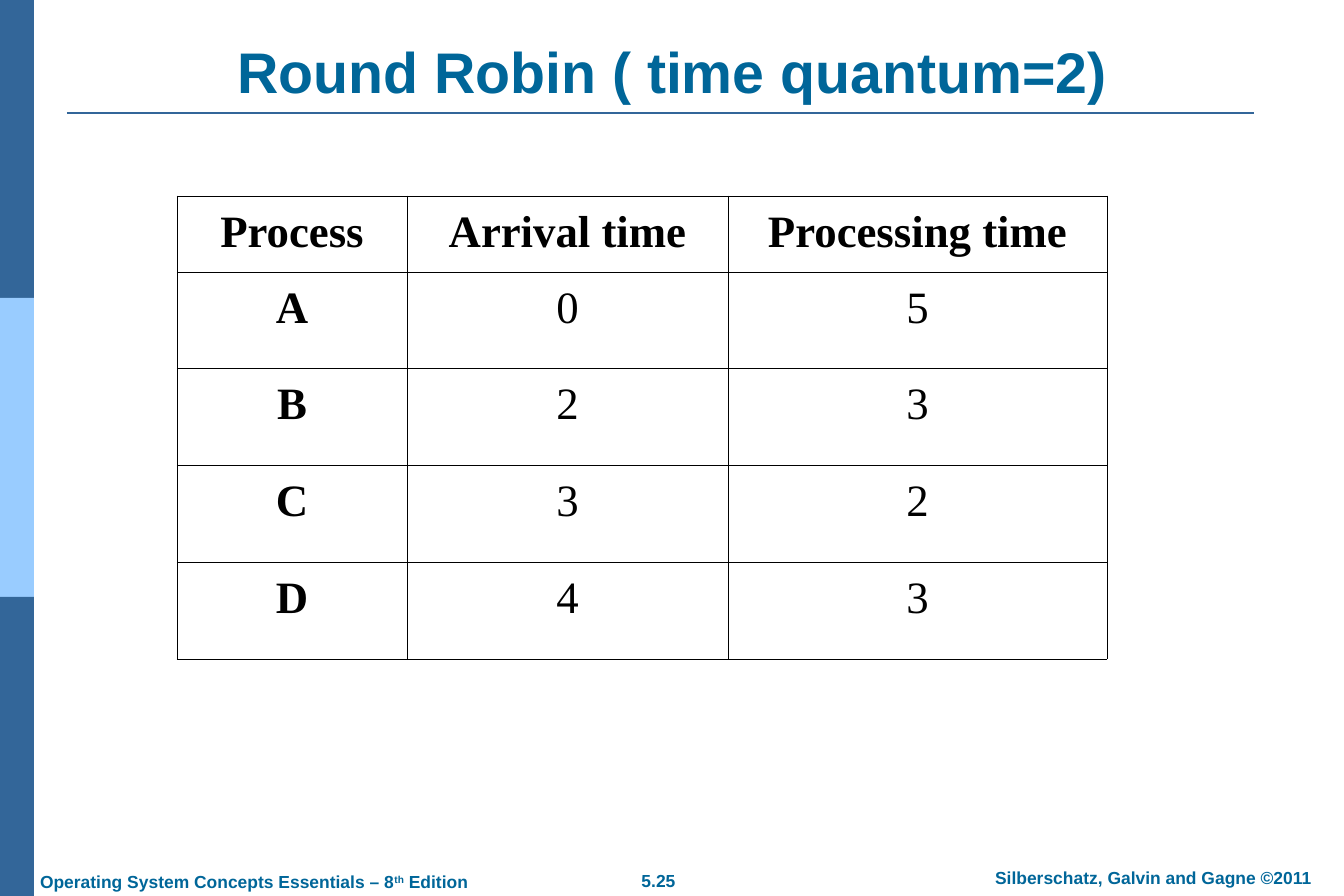
from dataclasses import dataclass

from lxml.etree import SubElement
from pptx import Presentation
from pptx.dml.color import RGBColor as RGB
from pptx.enum.shapes import MSO_CONNECTOR as Connector, MSO_SHAPE as Shape
from pptx.enum.text import MSO_ANCHOR as Anchor, MSO_AUTO_SIZE as AutoSize, PP_ALIGN as Align
from pptx.oxml.ns import qn
from pptx.util import Emu, Pt


@dataclass(frozen=True)
class Theme:
    """Colours, fonts and type sizes of the slide."""
    heading: RGB = RGB(0x00, 0x66, 0x99)
    dark_blue: RGB = RGB(0x33, 0x66, 0x99)
    light_blue: RGB = RGB(0x99, 0xCC, 0xFF)
    ink: RGB = RGB(0, 0, 0)
    sans: str = "Arial"
    serif: str = "Times New Roman"
    title_size: int = 46
    table_size: int = 36
    footer_size: int = 14


THEME = Theme()
WIDTH, HEIGHT = 1344, 896
EMU_PER_PX = 15 * 914400 / WIDTH

PROCESSES = [
    ("Process", "Arrival time", "Processing time"),
    ("A", "0", "5"),
    ("B", "2", "3"),
    ("C", "3", "2"),
    ("D", "4", "3"),
]


def px(length):
    """Turn px into EMU."""
    return Emu(round(length * EMU_PER_PX))


def add_run(paragraph, text, size, color, face, bold=True):
    """Append one formatted run and return it."""
    run = paragraph.add_run()
    run.text = text
    font = run.font
    font.size, font.name, font.bold = Pt(size), face, bold
    font.color.rgb = color
    return run


def set_margins(holder, across, down):
    """Set the inner margins of a text frame or table cell."""
    holder.margin_left = holder.margin_right = px(across)
    holder.margin_top = holder.margin_bottom = px(down)


def add_side_rail(slide, box):
    """Stack three equal colour bands in the box."""
    left, top, width, height = box
    edges = [top + height * step // 3 for step in range(4)]
    colors = (THEME.dark_blue, THEME.light_blue, THEME.dark_blue)
    for start, end, color in zip(edges, edges[1:], colors):
        band = slide.shapes.add_shape(
            Shape.RECTANGLE, px(left), px(start), px(width), px(end - start))
        band.shadow.inherit = False
        band.fill.solid()
        band.fill.fore_color.rgb = color
        band.line.fill.background()


def add_heading(slide, box, text):
    """Place the title in the box with a rule just under it."""
    left, top, width, height = box
    title = slide.shapes.title
    title.left, title.top, title.width, title.height = map(px, box)
    frame = title.text_frame
    frame.auto_size, frame.word_wrap = AutoSize.NONE, True
    frame.vertical_anchor = Anchor.BOTTOM
    set_margins(frame, 13, 6)
    paragraph = frame.paragraphs[0]
    paragraph.alignment = Align.CENTER
    add_run(paragraph, text, THEME.title_size, THEME.heading, THEME.sans)

    rule_y = px(top + height + 2)
    rule = slide.shapes.add_connector(
        Connector.STRAIGHT, px(left), rule_y, px(left + width - 23), rule_y)
    rule.line.color.rgb = THEME.dark_blue
    rule.line.width = Pt(1.5)
    SubElement(rule._element.spPr, qn("a:effectLst"))


def add_footer_note(slide, box, pieces, align):
    """Write one footer line from (text, baseline) pieces."""
    frame = slide.shapes.add_textbox(*map(px, box)).text_frame
    frame.word_wrap = True
    frame.auto_size = AutoSize.SHAPE_TO_FIT_TEXT
    set_margins(frame, 13, 6)
    paragraph = frame.paragraphs[0]
    paragraph.alignment = align
    for text, baseline in pieces:
        run = add_run(paragraph, text, THEME.footer_size, THEME.heading, THEME.sans)
        if baseline:
            run.font._element.set("baseline", str(baseline))


def add_footer(slide, box):
    """Place book, page number and copyright in the footer box."""
    left, top, width, height = box
    book = [("Operating System Concepts Essentials – 8", 0), ("th", 30000), (" Edition", 0)]
    add_footer_note(slide, (left, top + 4, 480, height), book, Align.LEFT)
    add_footer_note(slide, (left + 569, top + 3, 125, height), [("5.25", 0)], Align.CENTER)
    add_footer_note(slide, (left + width - 399, top, 399, height),
                    [("Silberschatz, Galvin and Gagne ©2011", 0)], Align.CENTER)


def outline_cell(cell):
    """Draw a thin border on all sides of a cell and clear its fill."""
    properties = cell._tc.get_or_add_tcPr()
    for side in ("lnL", "lnR", "lnT", "lnB"):
        border = SubElement(properties, qn(f"a:{side}"), w=str(Pt(0.45)))
        fill = SubElement(border, qn("a:solidFill"))
        SubElement(fill, qn("a:srgbClr"), val=str(THEME.ink))
    cell.fill.background()


def add_process_table(slide, box, rows):
    """Fill the box with the table of processes and their times."""
    left, top, width, height = box
    header_height, column_widths = 76, (230, 321, width - 551)
    table = slide.shapes.add_table(len(rows), len(rows[0]), *map(px, box)).table
    table.first_row = table.horz_banding = False
    for column, column_width in zip(table.columns, column_widths):
        column.width = px(column_width)
    body_height = (height - header_height) / (len(rows) - 1)
    for row_index, values in enumerate(rows):
        table.rows[row_index].height = px(body_height if row_index else header_height)
        for column_index, value in enumerate(values):
            cell = table.cell(row_index, column_index)
            outline_cell(cell)
            set_margins(cell, 7, 4)
            paragraph = cell.text_frame.paragraphs[0]
            paragraph.alignment = Align.CENTER
            paragraph.line_spacing = 1.15
            paragraph.space_after = Pt(10)
            add_run(paragraph, value, THEME.table_size, THEME.ink, THEME.serif,
                    row_index == 0 or column_index == 0)


def main():
    """Build and save the slide."""
    deck = Presentation()
    deck.slide_width, deck.slide_height = px(WIDTH), px(HEIGHT)
    slide = deck.slides.add_slide(deck.slide_layouts[5])
    add_side_rail(slide, (0, 0, 34, HEIGHT))
    add_heading(slide, (67, 36, 1210, 75), "Round Robin ( time quantum=2)")
    add_process_table(slide, (177, 196, 930, 463), PROCESSES)
    add_footer(slide, (27, 861, 1326, 34))
    deck.save("out.pptx")


if __name__ == "__main__":
    main()
